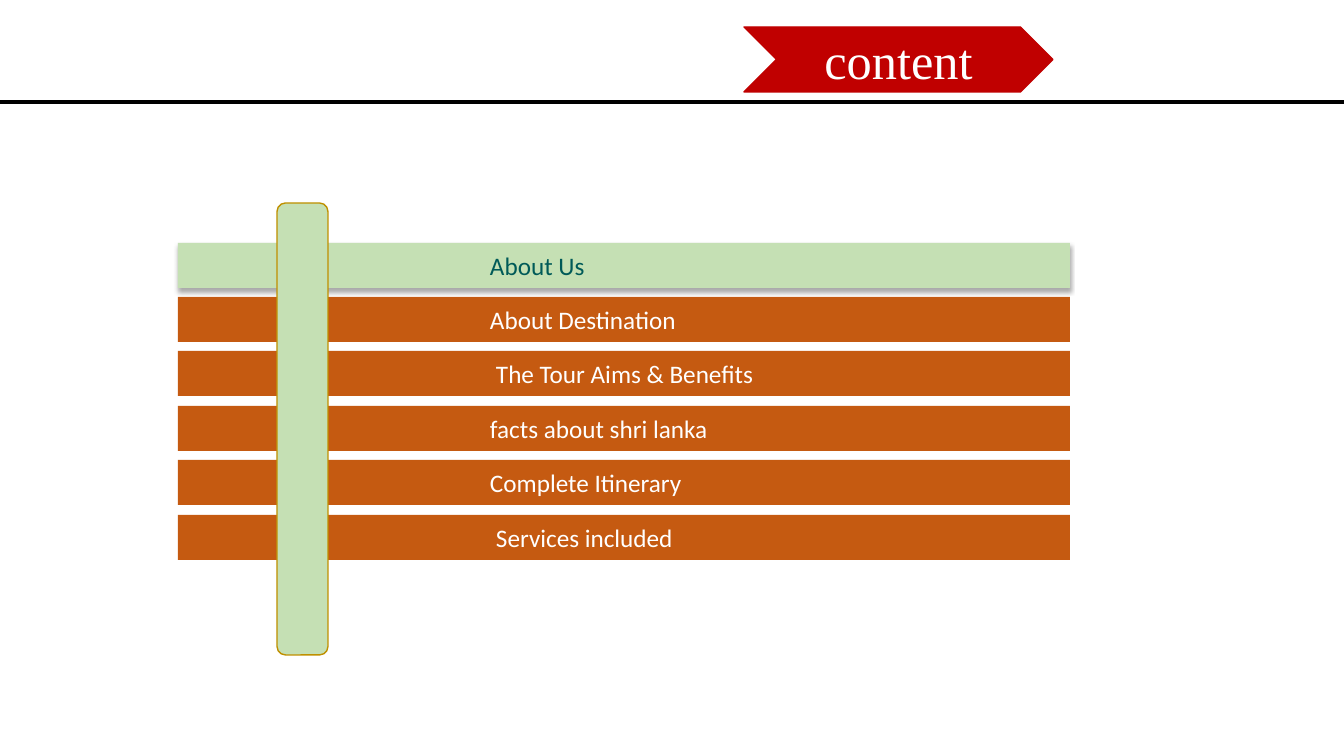
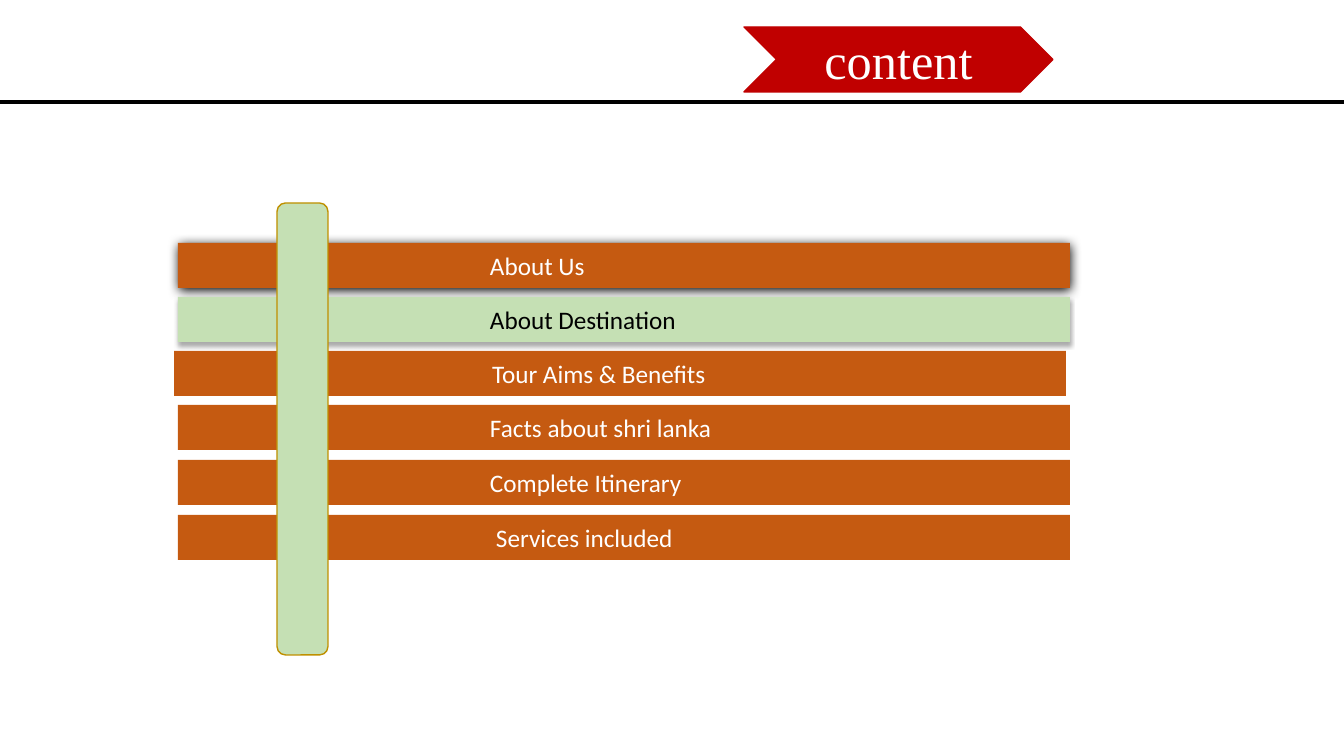
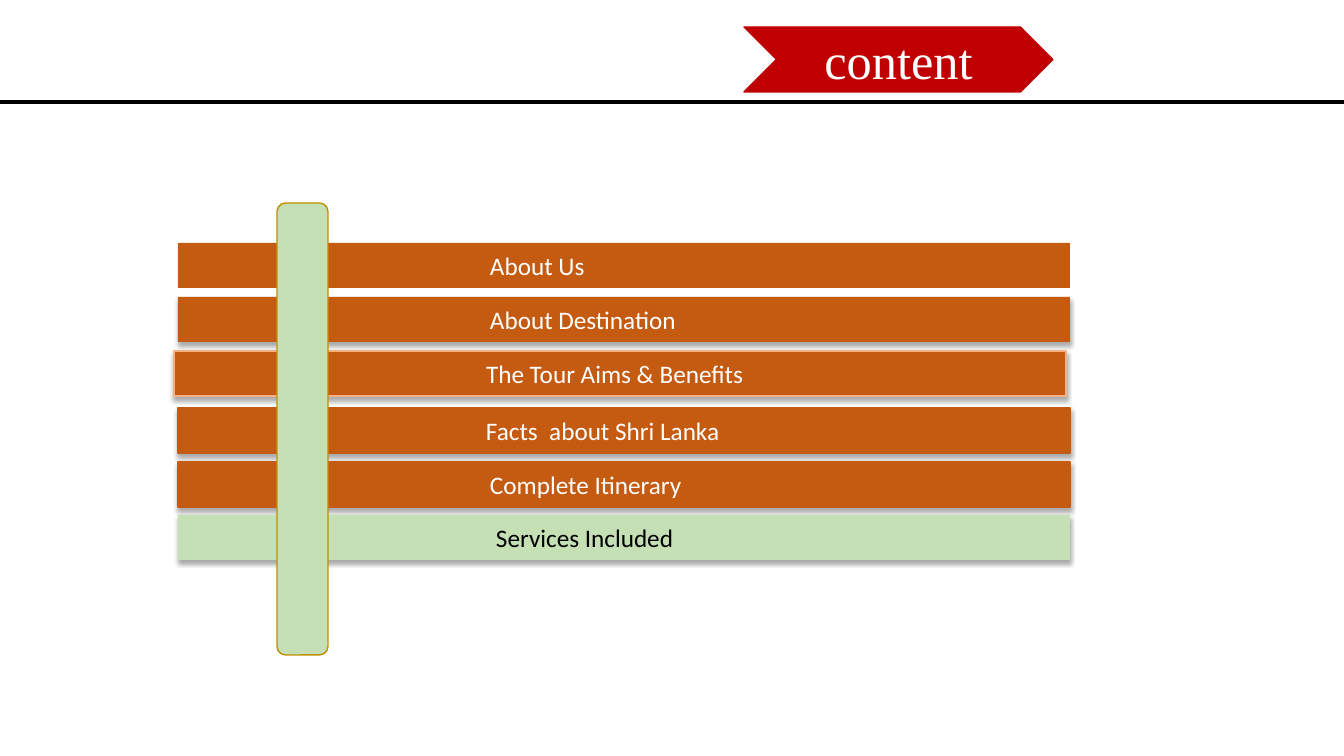
"""Build three agenda slides that share a title arrow, a rule and a vertical bar."""
import dataclasses

import pptx
import pptx.dml.color
import pptx.enum.shapes
import pptx.enum.text
import pptx.oxml
import pptx.oxml.ns
import pptx.util
from lxml import etree

SCALE = 914400 / 100.8
SHAPE = pptx.enum.shapes.MSO_SHAPE
ALIGN = pptx.enum.text.PP_ALIGN
MIDDLE = pptx.enum.text.MSO_ANCHOR.MIDDLE
NO_FIT = pptx.enum.text.MSO_AUTO_SIZE.NONE


@dataclasses.dataclass(frozen=True)
class Theme:
    white: str = "FFFFFF"
    black: str = "000000"
    teal: str = "005A58"
    orange: str = "C55A11"
    peach: str = "F4B183"
    green: str = "C5E0B4"
    gold: str = "BF9000"
    red: str = "C00000"
    title_font: str = "Times New Roman"
    title_size: int = 36
    row_font: str = "Calibri"
    row_size: int = 18
    soft_shadow: tuple = (32, 3.5, 2.2)
    strong_shadow: tuple = (100, 8.5, 1)


THEME = Theme()
CHEVRON = (744, 27, 309, 65)
BAR = (277, 203, 51, 452)
ROW_LEFT, ROW_TOP, ROW_WIDTH, ROW_HEIGHT = 178, 243, 892, 45
ROW_SPAN, ROW_GAPS = 272, 5
TEXT_INDENT = 312


@dataclasses.dataclass(frozen=True)
class Row:
    text: str
    fill: str = THEME.orange
    color: str = THEME.white
    line: str = ""
    shadow: tuple = ()
    dx: int = 0
    dy: int = 0
    indent: int = 0


def px(n):
    return pptx.util.Emu(round(n * SCALE))


def rgb(value):
    return pptx.dml.color.RGBColor.from_string(value)


def set_format(obj, values):
    for name, value in values.items():
        setattr(obj, name, value)


def add_shadow(shape, alpha, blur, dist):
    effects = shape.element.spPr.find(pptx.oxml.ns.qn("a:effectLst"))
    qn = pptx.oxml.ns.qn
    outer = etree.SubElement(effects, qn("a:outerShdw"), {
        "blurRad": str(pptx.util.Pt(blur)), "dist": str(pptx.util.Pt(dist)),
        "dir": "5400000", "algn": "ctr", "rotWithShape": "0"})
    color = etree.SubElement(outer, qn("a:srgbClr"), val=THEME.black)
    etree.SubElement(color, qn("a:alpha"), val=str(alpha * 1000))


def add_box(s, kind, box, fill, line="", shadow=()):
    shape = s.shapes.add_shape(kind, *map(px, box))
    shape.fill.solid()
    shape.fill.fore_color.rgb = rgb(fill)
    if line:
        shape.line.color.rgb = rgb(line)
        shape.line.width = pptx.util.Pt(1)
    else:
        shape.line.fill.background()
    shape.shadow.inherit = False
    if shadow:
        add_shadow(shape, *shadow)
    return shape


def set_text(tf, text, font, size, color, align, indent=0):
    set_format(tf, {
        "word_wrap": True, "auto_size": NO_FIT, "vertical_anchor": MIDDLE,
        "margin_left": px(indent), "margin_right": 0,
        "margin_top": 0, "margin_bottom": 0})
    p = tf.paragraphs[0]
    p.alignment = align
    r = p.add_run()
    r.text = text
    set_format(r.font, {"name": font, "size": pptx.util.Pt(size), "bold": False})
    r.font.color.rgb = rgb(color)


def add_rule(s, y, width):
    rule = s.shapes.add_connector(
        pptx.enum.shapes.MSO_CONNECTOR.STRAIGHT, 0, px(y), px(width), px(y))
    rule.line.color.rgb = rgb(THEME.black)
    rule.line.width = pptx.util.Pt(3)
    etree.SubElement(rule.element.spPr, pptx.oxml.ns.qn("a:effectLst"))
    return rule


def decorate_layout(layout, s):
    rule = add_rule(s, 102, 1344)
    chevron = add_box(s, SHAPE.CHEVRON, CHEVRON, THEME.red, THEME.red)
    for shape in (rule, chevron):
        layout.shapes.element.append(shape.element)


def add_title(s, text):
    title = s.shapes.title
    set_format(title, dict(zip(("left", "top", "width", "height"), map(px, CHEVRON))))
    set_text(title.text_frame, text, THEME.title_font, THEME.title_size,
             THEME.white, ALIGN.CENTER)


def add_row(s, index, row):
    top = ROW_TOP + index * ROW_SPAN // ROW_GAPS
    box = (ROW_LEFT + row.dx, top + row.dy, ROW_WIDTH, ROW_HEIGHT)
    shape = add_box(s, SHAPE.RECTANGLE, box, row.fill, row.line, row.shadow)
    set_text(shape.text_frame, row.text, THEME.row_font, THEME.row_size,
             row.color, ALIGN.LEFT, TEXT_INDENT + row.indent)


def current_row(text, color=THEME.black, indent=0):
    return Row(text, THEME.green, color, shadow=THEME.soft_shadow, indent=indent)


AGENDAS = [
    [
        current_row("About Us", THEME.teal),
        Row("About Destination"),
        Row("The Tour Aims & Benefits", indent=6),
        Row("facts about shri lanka"),
        Row("Complete Itinerary"),
        Row("Services included", indent=6),
    ],
    [
        Row("About Us", shadow=THEME.strong_shadow),
        current_row("About Destination"),
        Row("Tour Aims & Benefits", dx=-4, indent=6),
        Row("Facts about shri lanka", dy=-1),
        Row("Complete Itinerary"),
        Row("Services included", indent=6),
    ],
    [
        Row("About Us"),
        Row("About Destination", shadow=THEME.soft_shadow),
        Row("The Tour Aims & Benefits", line=THEME.peach,
            shadow=THEME.soft_shadow, dx=-4),
        Row("Facts  about Shri Lanka", line=THEME.orange,
            shadow=THEME.soft_shadow, dy=2, indent=-4),
        Row("Complete Itinerary", line=THEME.orange,
            shadow=THEME.soft_shadow, dy=2),
        current_row("Services Included", indent=6),
    ],
]


def main():
    prs = pptx.Presentation()
    set_format(prs, {"slide_width": px(1344), "slide_height": px(756)})
    layout = prs.slide_layouts.get_by_name("Title Only")
    for number, agenda in enumerate(AGENDAS):
        s = prs.slides.add_slide(layout)
        if number == 0:
            decorate_layout(layout, s)
        add_title(s, "content")
        for index, row in enumerate(agenda):
            add_row(s, index, row)
        add_box(s, SHAPE.ROUNDED_RECTANGLE, BAR, THEME.green, THEME.gold)
    prs.save("out.pptx")


if __name__ == "__main__":
    main()
